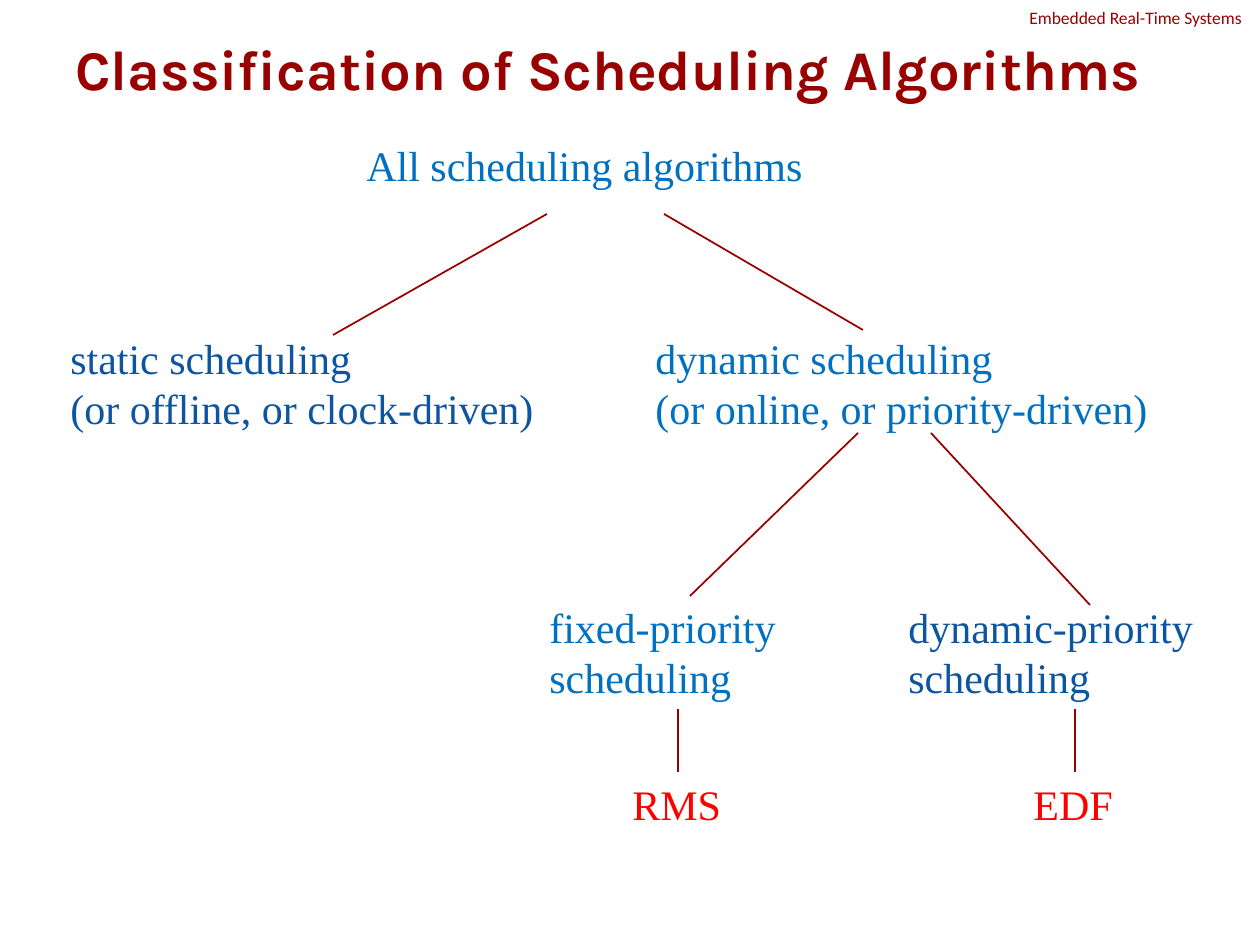
from lxml.etree import SubElement
from pptx import Presentation
from pptx.dml.color import RGBColor
from pptx.enum.shapes import MSO_CONNECTOR
from pptx.enum.text import MSO_ANCHOR, MSO_AUTO_SIZE
from pptx.oxml.ns import qn
from pptx.util import Pt

EMU_PER_PX = 914400 / 126
COLORS = {"maroon": "990000", "blue": "0070C0", "navy": "0D55A1", "red": "FF0000"}


def px(length):
    return round(length * EMU_PER_PX)


def add_text(text, left, top, width, height, *, color="blue", size=24,
             font="Times New Roman", bold=False, wrap=False,
             anchor=MSO_ANCHOR.TOP, auto_size=MSO_AUTO_SIZE.SHAPE_TO_FIT_TEXT):
    """Add a text box with one paragraph for each line of text."""
    box = slide.shapes.add_textbox(px(left), px(top), px(width), px(height))
    frame = box.text_frame
    frame.text = text
    frame.word_wrap = wrap
    frame.auto_size = auto_size
    frame.vertical_anchor = anchor
    for paragraph in frame.paragraphs:
        paragraph.font.name = font
        paragraph.font.size = Pt(size)
        paragraph.font.bold = bold
        paragraph.font.color.rgb = RGBColor.from_string(COLORS[color])


presentation = Presentation()
presentation.slide_width = px(1260)
presentation.slide_height = px(945)
slide = presentation.slides.add_slide(presentation.slide_layouts[6])

add_text("Embedded Real-Time Systems", 1017, 1, 286, 34,
         color="maroon", size=10, font="Calibri", wrap=True)
add_text("Classification of Scheduling Algorithms", 63, 32, 1134, 72,
         color="maroon", size=32, font="Karla", bold=True, wrap=True,
         anchor=MSO_ANCHOR.MIDDLE, auto_size=MSO_AUTO_SIZE.NONE)

# Tree nodes: text, left, top, width, height, color
nodes = [
    ("All scheduling algorithms", 354, 133, 466, 63, "blue"),
    ("static scheduling\n(or offline, or clock-driven)", 58, 326, 493, 115, "navy"),
    ("dynamic scheduling\n(or online, or priority-driven)", 643, 326, 520, 115, "blue"),
    ("fixed-priority\nscheduling", 537, 595, 253, 115, "blue"),
    ("dynamic-priority\nscheduling", 896, 595, 314, 115, "navy"),
    ("RMS", 620, 772, 115, 63, "red"),
    ("EDF", 1021, 772, 106, 63, "red"),
]
for text, left, top, width, height, color in nodes:
    add_text(text, left, top, width, height, color=color)

# Tree branches: start x, start y, end x, end y
branches = [
    (547, 214, 333, 335),
    (664, 214, 863, 330),
    (858, 433, 690, 596),
    (931, 433, 1090, 605),
    (678, 709, 678, 772),
    (1075, 709, 1075, 772),
]
for branch in branches:
    connector = slide.shapes.add_connector(MSO_CONNECTOR.STRAIGHT, *map(px, branch))
    connector.line.color.rgb = RGBColor.from_string(COLORS["maroon"])
    connector.line.width = Pt(1)
    SubElement(connector._element.spPr, qn("a:effectLst"))

presentation.save("out.pptx")
